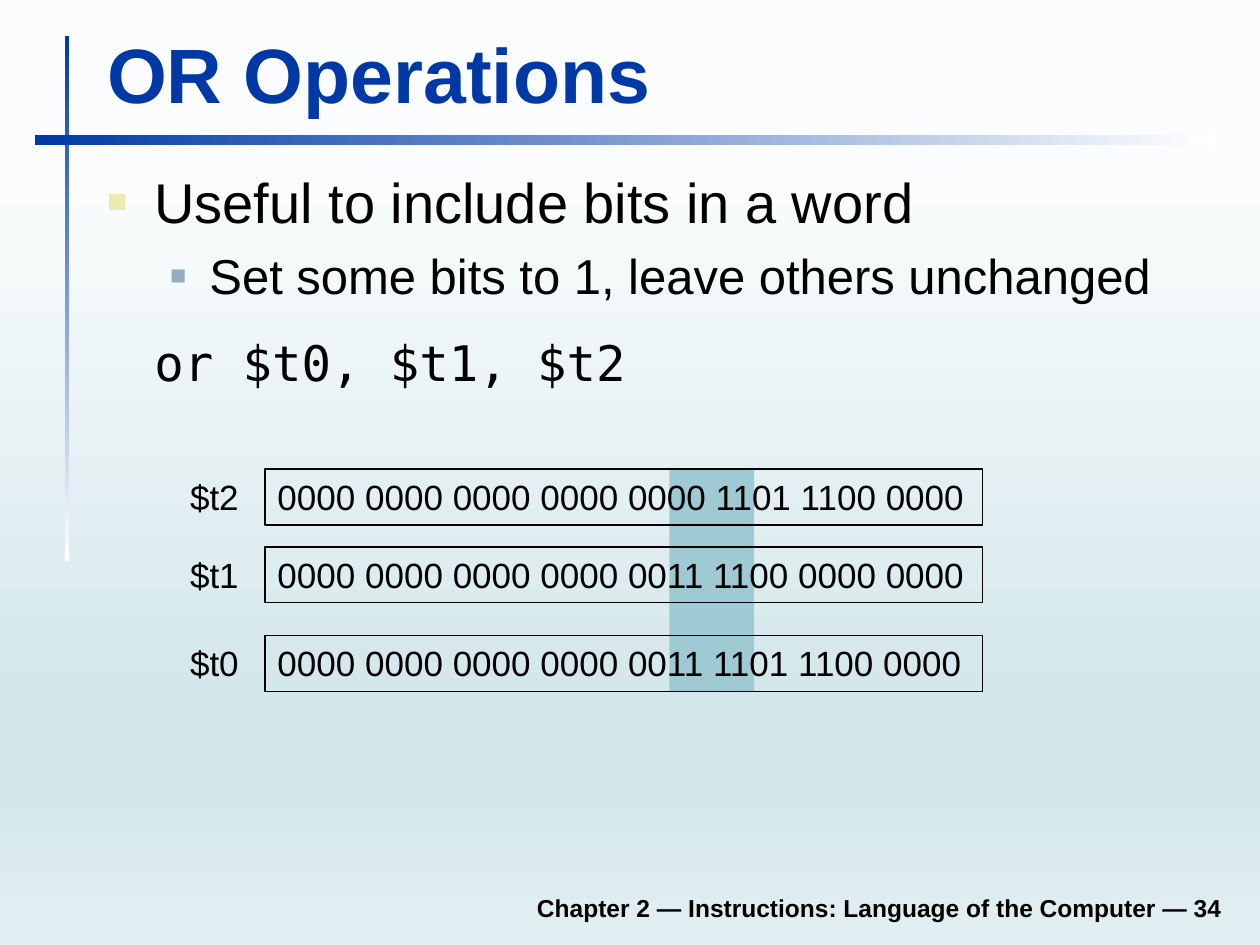
from copy import deepcopy

from lxml import etree
from pptx import Presentation
from pptx import util as u
from pptx.dml.color import RGBColor
from pptx.enum import shapes, text
from pptx.oxml import ns

BLUE = RGBColor(0x00, 0x39, 0xA6)
WHITE = RGBColor(0xFF, 0xFF, 0xFF)
BLACK = RGBColor(0x00, 0x00, 0x00)
TEAL = RGBColor(0x9F, 0xCA, 0xD3)
YELLOW = RGBColor(0xEC, 0xEA, 0xAC)
GREY_BLUE = RGBColor(0x91, 0xAF, 0xBF)
SKY = [
    (0.19, RGBColor(0xFA, 0xFC, 0xFD)),
    (0.74, RGBColor(0xD4, 0xE7, 0xEB)),
    (0.83, RGBColor(0xD4, 0xE7, 0xEB)),
    (1, RGBColor(0xE2, 0xEF, 0xF2)),
]
FADE = [(0, BLUE), (1, WHITE)]
DOWN, RIGHT = 270, 0

REGISTERS = [
    ("$t2", "0000 0000 0000 0000 0000 1101 1100 0000", 268),
    ("$t1", "0000 0000 0000 0000 0011 1100 0000 0000", 312.5),
    ("$t0", "0000 0000 0000 0000 0011 1101 1100 0000", 363),
]


class SlideBuilder:
    body_font = "Arial"
    code_font = "DejaVu Sans Mono"

    def __init__(self, presentation):
        self.slide = presentation.slides.add_slide(presentation.slide_layouts[1])

    def gradient(self, fill, element, stops, angle):
        fill.gradient()
        fill.gradient_angle = angle
        stop_list = element.find(".//" + ns.qn("a:gsLst"))
        while len(stop_list) < len(stops):
            stop_list.append(deepcopy(stop_list[-1]))
        for stop, (position, color) in zip(fill.gradient_stops, stops):
            stop.position = position
            stop.color.rgb = color

    def background(self, stops):
        self.gradient(self.slide.background.fill, self.slide.element, stops, DOWN)

    def place(self, shape, left, top, width, height):
        shape.left, shape.top = u.Pt(left), u.Pt(top)
        shape.width, shape.height = u.Pt(width), u.Pt(height)

    def rectangle(self, left, top, width, height):
        shape = self.slide.shapes.add_shape(
            shapes.MSO_SHAPE.RECTANGLE,
            u.Pt(left), u.Pt(top), u.Pt(width), u.Pt(height))
        shape.shadow.inherit = False
        shape.line.fill.background()
        return shape

    def fading_bar(self, left, top, width, height, angle):
        shape = self.rectangle(left, top, width, height)
        self.gradient(shape.fill, shape.element, FADE, angle)

    def highlight(self, left, top, width, height):
        shape = self.rectangle(left, top, width, height)
        shape.fill.solid()
        shape.fill.fore_color.rgb = TEAL

    def set_text(self, paragraph, words, size, color=BLACK, bold=False, font=None,
                 align=text.PP_ALIGN.LEFT):
        paragraph.text = words
        paragraph.alignment = align
        paragraph.font.name = font or self.body_font
        paragraph.font.size = u.Pt(size)
        paragraph.font.bold = bold
        paragraph.font.color.rgb = color

    def bit_box(self, bits, left, top, width, height):
        shape = self.rectangle(left, top, width, height)
        shape.fill.background()
        shape.line.color.rgb = BLACK
        shape.line.width = u.Pt(0.75)
        frame = shape.text_frame
        frame.word_wrap = False
        frame.vertical_anchor = text.MSO_ANCHOR.TOP
        self.set_text(frame.paragraphs[0], bits, 20)

    def label(self, words, left, top, width, height, size=20, wrap=False,
              anchor=text.MSO_ANCHOR.TOP, **style):
        box = self.slide.shapes.add_textbox(
            u.Pt(left), u.Pt(top), u.Pt(width), u.Pt(height))
        frame = box.text_frame
        frame.word_wrap = wrap
        frame.vertical_anchor = anchor
        self.set_text(frame.paragraphs[0], words, size, **style)

    def title(self, words):
        shape = self.slide.shapes.title
        self.place(shape, 54, 11.5, 650, 60)
        frame = shape.text_frame
        frame.auto_size = text.MSO_AUTO_SIZE.NONE
        frame.vertical_anchor = text.MSO_ANCHOR.BOTTOM
        self.set_text(frame.paragraphs[0], words, 44, BLUE, True)

    def bullet(self, paragraph, margin, indent, color=None, percent=100):
        properties = paragraph._p.get_or_add_pPr()
        properties.set("marL", str(u.Pt(margin)))
        properties.set("indent", str(u.Pt(indent)))
        if color is None:
            etree.SubElement(properties, ns.qn("a:buNone"))
            return
        bullet_color = etree.SubElement(properties, ns.qn("a:buClr"))
        etree.SubElement(bullet_color, ns.qn("a:srgbClr"), val=str(color))
        etree.SubElement(properties, ns.qn("a:buSzPct"), val=str(percent * 1000))
        etree.SubElement(properties, ns.qn("a:buFont"), typeface=self.body_font)
        etree.SubElement(properties, ns.qn("a:buChar"), char="■")

    def body(self, point, detail, code):
        shape = self.slide.placeholders[1]
        self.place(shape, 54, 88.5, 651.5, 163.5)
        frame = shape.text_frame
        frame.auto_size = text.MSO_AUTO_SIZE.NONE
        frame.margin_top = u.Pt(7)

        first = frame.paragraphs[0]
        self.bullet(first, 27, -27, YELLOW, 60)
        first.space_before = u.Pt(0)
        self.set_text(first, point, 32)

        second = frame.add_paragraph()
        second.level = 1
        self.bullet(second, 58.5, -22.5, GREY_BLUE, 55)
        second.space_before = u.Pt(6.5)
        self.set_text(second, detail, 28)

        third = frame.add_paragraph()
        self.bullet(third, 27, 0)
        third.space_before = u.Pt(16)
        self.set_text(third, code, 28, font=self.code_font)


def main():
    presentation = Presentation()
    presentation.slide_width, presentation.slide_height = u.Pt(720), u.Pt(540)
    builder = SlideBuilder(presentation)
    builder.background(SKY)
    builder.fading_bar(37, 20.5, 2.5, 300, DOWN)
    builder.fading_bar(20, 77, 675, 6, RIGHT)
    builder.title("OR Operations")
    builder.body("Useful to include bits in a word",
                 "Set some bits to 1, leave others unchanged",
                 "or $t0, $t1, $t2")
    builder.highlight(382.5, 268.5, 48.5, 126.5)
    for register, bits, top in REGISTERS:
        builder.label(register, 101.5, top, 42.5, 31)
        builder.bit_box(bits, 151.5, top, 410, 32)
    builder.label("Chapter 2 — Instructions: Language of the Computer — 34",
                  133, 502.5, 572.5, 28, size=14, wrap=True, bold=True,
                  anchor=text.MSO_ANCHOR.BOTTOM, align=text.PP_ALIGN.RIGHT)
    presentation.save("out.pptx")


if __name__ == "__main__":
    main()
